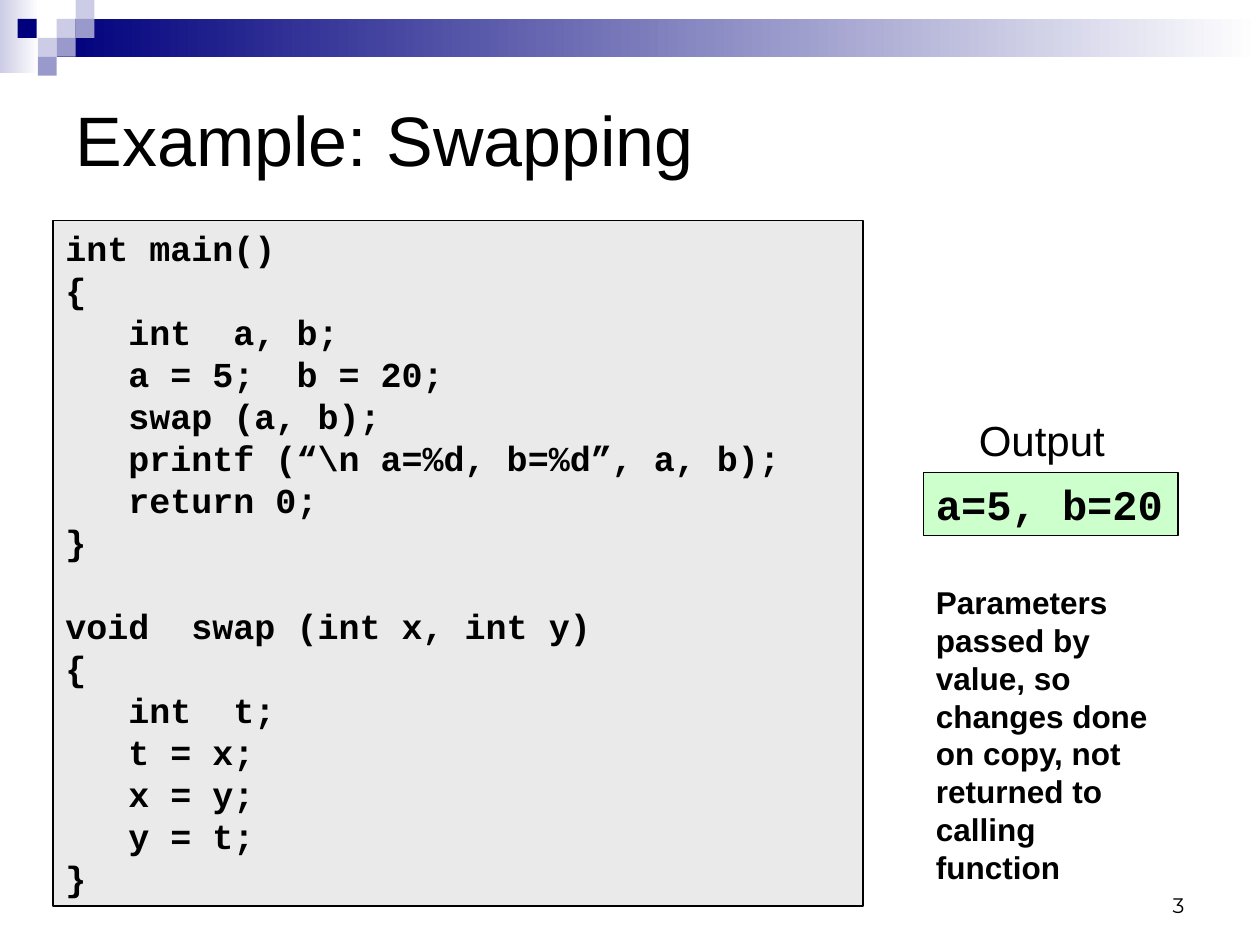
from dataclasses import dataclass

from pptx import Presentation
from pptx.dml.color import RGBColor as Rgb
from pptx.enum.shapes import MSO_SHAPE as Shape
from pptx.enum.text import MSO_ANCHOR as Anchor, PP_ALIGN as Align
from pptx.util import Inches, Pt


@dataclass(frozen=True)
class Theme:
    black: Rgb = Rgb.from_string("000000")
    white: Rgb = Rgb.from_string("FFFFFF")
    navy: Rgb = Rgb.from_string("00007D")
    lilac: Rgb = Rgb.from_string("9999CC")
    pale_lilac: Rgb = Rgb.from_string("CCCCE6")
    code_fill: Rgb = Rgb.from_string("EAEAEA")
    output_fill: Rgb = Rgb.from_string("CCFFCC")
    sans: str = "Arial"
    mono: str = "Courier New"
    number_font: str = "Montserrat"
    title_size: float = 40
    output_size: float = 24
    code_size: float = 20
    note_size: float = 18
    number_size: float = 12
    code_line: float = 24


THEME = Theme()


@dataclass(frozen=True)
class Area:
    left: float
    top: float
    width: float
    height: float

    def lengths(self) -> tuple:
        return tuple(Inches(v) for v in (self.left, self.top, self.width, self.height))


@dataclass(frozen=True)
class Style:
    font: str
    size: float
    bold: bool = False
    align: Align = Align.LEFT
    anchor: Anchor = Anchor.TOP


@dataclass(frozen=True)
class TextBlock:
    area: Area
    lines: tuple[str, ...]
    style: Style
    fill: Rgb | None = None


TILE = 0.15
TILES = (
    (0.45, 0.15, THEME.pale_lilac),
    (0.6, 0, THEME.pale_lilac),
    (0.6, 0.15, THEME.lilac),
    (0.3, 0.3, THEME.pale_lilac),
    (0.14, 0.15, THEME.navy),
    (0.45, 0.3, THEME.lilac),
    (0.3, 0.45, THEME.lilac),
)
FADES = (
    (Area(0, 0, 0.31, 0.58), THEME.pale_lilac),
    (Area(0.45, 0.15, 9.55, 0.3), THEME.navy),
)

MAIN_CODE = r"""int main()
{
   int  a, b;
   a = 5;  b = 20;
   swap (a, b);
   printf (“\n a=%d, b=%d”, a, b);
   return 0;
}"""
SWAP_CODE = """void  swap (int x, int y)
{
   int  t;
   t = x;
   x = y;
   y = t;
}"""
SWAP_START = SWAP_CODE.splitlines()[0]

TITLE_STYLE = Style(THEME.sans, THEME.title_size, anchor=Anchor.MIDDLE)
BLOCKS = (
    TextBlock(Area(7.17, 6.83, 2.33, 0.5), ("3",),
              Style(THEME.number_font, THEME.number_size, align=Align.RIGHT, anchor=Anchor.BOTTOM)),
    TextBlock(Area(0.42, 1.75, 6.43, 5.44), (*MAIN_CODE.splitlines(), *SWAP_CODE.splitlines()),
              Style(THEME.mono, THEME.code_size, bold=True), THEME.code_fill),
    TextBlock(Area(7.33, 3.75, 2.02, 0.5), ("a=5, b=20",),
              Style(THEME.mono, THEME.output_size, bold=True), THEME.output_fill),
    TextBlock(Area(7.67, 3.24, 1.42, 0.5), ("Output",), Style(THEME.sans, THEME.output_size)),
    TextBlock(Area(7.33, 4.58, 1.93, 2.5),
              ("Parameters passed by value, so changes done on copy, not returned to calling function",),
              Style(THEME.sans, THEME.note_size, bold=True)),
)


def add_rectangle(slide, area: Area):
    box = slide.shapes.add_shape(Shape.RECTANGLE, *area.lengths())
    box.shadow.inherit = False
    box.line.fill.background()
    return box


def add_fade(slide, area: Area, start: Rgb) -> None:
    """Draw a band that fades from the start colour to white, left to right."""
    fill = add_rectangle(slide, area).fill
    fill.gradient()
    fill.gradient_angle = 0
    for stop, color in zip(fill.gradient_stops, (start, THEME.white)):
        stop.color.rgb = color


def add_tile(slide, left: float, top: float, color: Rgb) -> None:
    fill = add_rectangle(slide, Area(left, top, TILE, TILE)).fill
    fill.solid()
    fill.fore_color.rgb = color


def write_lines(box, lines: tuple[str, ...], style: Style) -> None:
    frame = box.text_frame
    frame.word_wrap = True
    frame.vertical_anchor = style.anchor
    for index, line in enumerate(lines):
        para = frame.add_paragraph() if index else frame.paragraphs[0]
        para.alignment = style.align
        if line == SWAP_START:
            para.space_before = Pt(THEME.code_line)
        span = para.add_run()
        span.text = line
        span.font.name = style.font
        span.font.size = Pt(style.size)
        span.font.bold = style.bold
        span.font.color.rgb = THEME.black


def add_block(slide, block: TextBlock) -> None:
    if block.fill is None:
        box = slide.shapes.add_textbox(*block.area.lengths())
    else:
        box = add_rectangle(slide, block.area)
        box.fill.solid()
        box.fill.fore_color.rgb = block.fill
        box.line.color.rgb = THEME.black
        box.line.width = Pt(1)
    write_lines(box, block.lines, block.style)


def add_title(slide, text: str) -> None:
    title = slide.shapes.title
    title.left, title.top, title.width, title.height = Area(0.5, 0.5, 9, 1.2).lengths()
    write_lines(title, (text,), TITLE_STYLE)


def main() -> None:
    deck = Presentation()
    deck.slide_width, deck.slide_height = Inches(10), Inches(7.5)
    page = deck.slides.add_slide(deck.slide_layouts[5])
    for area, start in FADES:
        add_fade(page, area, start)
    for left, top, color in TILES:
        add_tile(page, left, top, color)
    add_title(page, "Example: Swapping")
    for block in BLOCKS:
        add_block(page, block)
    deck.save("out.pptx")


if __name__ == "__main__":
    main()
